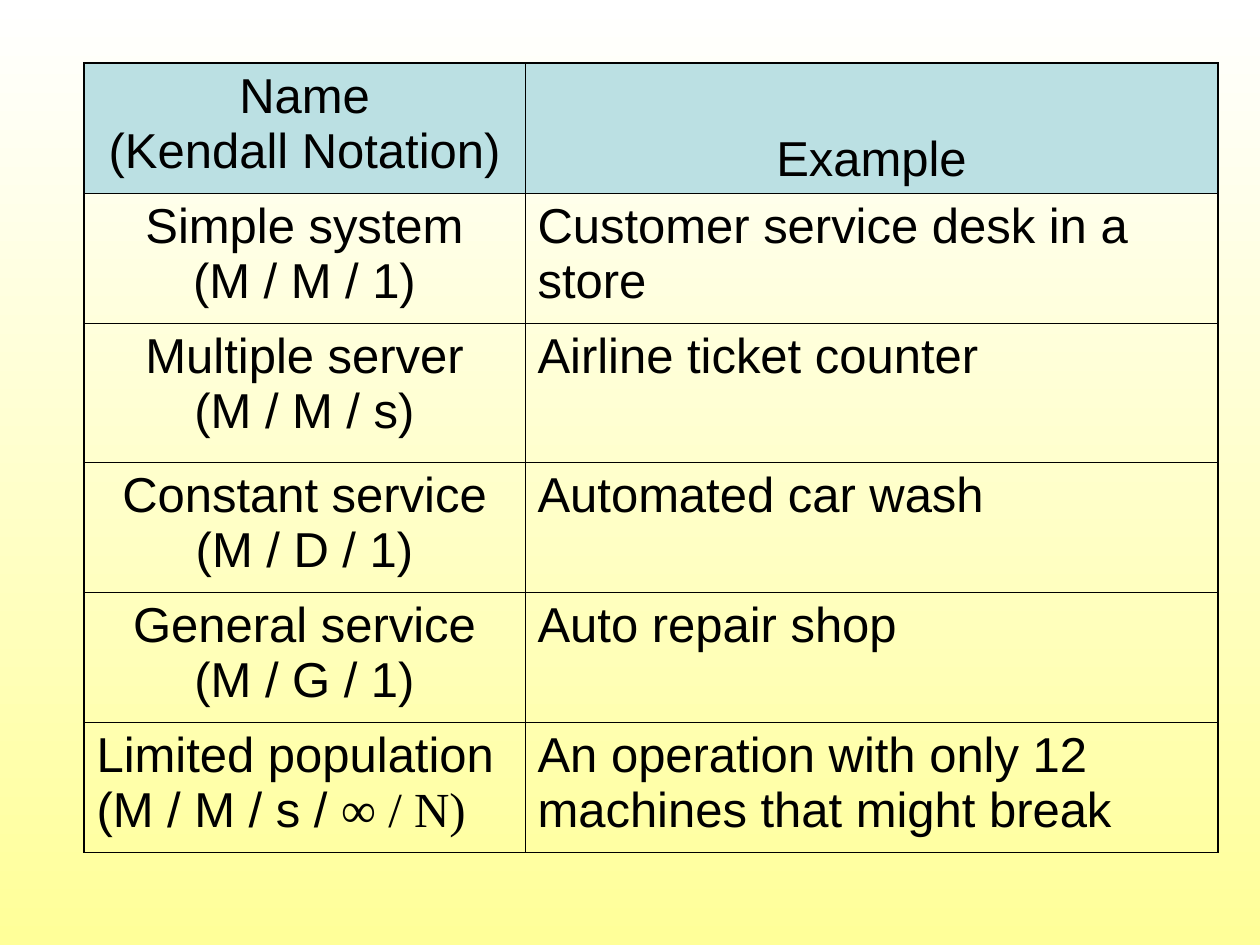
import pptx
import pptx.dml.color
import pptx.enum.text
import pptx.util
from lxml import etree
from pptx.oxml.ns import qn

Pt = pptx.util.Pt
RGBColor = pptx.dml.color.RGBColor
ALIGN = pptx.enum.text.PP_ALIGN
ANCHOR = pptx.enum.text.MSO_ANCHOR

BLACK = RGBColor(0x00, 0x00, 0x00)
WHITE = RGBColor(0xFF, 0xFF, 0xFF)
YELLOW = RGBColor(0xFF, 0xFF, 0x99)
HEADER_BLUE = RGBColor(0xBB, 0xE0, 0xE3)

BODY_FONT = "Arial"
SYMBOL_FONT = "Times New Roman"
OUTER_WIDTH = 1.08
INNER_WIDTH = 0.45

COLUMN_WIDTHS = [252, 396]
ROW_HEIGHTS = [74.3, 74.3, 79.4, 74.4, 74.3, 74.4]

# Each cell is a list of paragraphs; a paragraph is a list of (text, font).
MODELS = [
    (["Name", "(Kendall Notation)"], "Example"),
    (["Simple system", "(M / M / 1)"], "Customer service desk in a store"),
    (["Multiple server", "(M / M / s)"], "Airline ticket counter"),
    (["Constant service", "(M / D / 1)"], "Automated car wash"),
    (["General service", "(M / G / 1)"], "Auto repair shop"),
    (
        ["Limited population", [("(M / M / s / ", BODY_FONT), ("∞ / N)", SYMBOL_FONT)]],
        "An operation with only 12 machines that might break",
    ),
]


class SlideBuilder:
    font_format = {"size": Pt(28), "bold": False}
    cell_format = {
        "margin_left": Pt(7.2),
        "margin_right": Pt(7.2),
        "margin_top": Pt(3.6),
        "margin_bottom": Pt(3.6),
    }

    def __init__(self, slide):
        self.slide = slide

    def background(self, top_color, bottom_color):
        fill = self.slide.background.fill
        fill.gradient()
        fill.gradient_angle = 270
        for stop, color, position in zip(fill.gradient_stops, (top_color, bottom_color), (0, 1)):
            stop.color.rgb = color
            stop.position = position

    def table(self, left, top, column_widths, row_heights):
        frame = self.slide.shapes.add_table(
            len(row_heights), len(column_widths),
            Pt(left), Pt(top), Pt(sum(column_widths)), Pt(sum(row_heights)),
        )
        grid = frame.table
        grid.first_row = grid.horz_banding = False
        for column, width in zip(grid.columns, column_widths):
            column.width = Pt(width)
        for row, height in zip(grid.rows, row_heights):
            row.height = Pt(height)
        return grid

    def cell(self, cell, paragraphs, align, anchor=ANCHOR.TOP, fill=None):
        for name, value in {**self.cell_format, "vertical_anchor": anchor}.items():
            setattr(cell, name, value)
        if fill is None:
            cell.fill.background()
        else:
            cell.fill.solid()
            cell.fill.fore_color.rgb = fill
        frame = cell.text_frame
        for index, content in enumerate(paragraphs):
            paragraph = frame.add_paragraph() if index else frame.paragraphs[0]
            paragraph.alignment = align
            pieces = [(content, BODY_FONT)] if isinstance(content, str) else content
            for text, font_name in pieces:
                run = paragraph.add_run()
                run.text = text
                for name, value in {**self.font_format, "name": font_name}.items():
                    setattr(run.font, name, value)
                run.font.color.rgb = BLACK

    def borders(self, cell, widths):
        """Draw the left, right, top and bottom borders, widths in points."""
        properties = cell._tc.get_or_add_tcPr()
        for index, (side, width) in enumerate(zip("LRTB", widths)):
            line = etree.Element(qn(f"a:ln{side}"), w=str(Pt(width)))
            solid = etree.SubElement(line, qn("a:solidFill"))
            etree.SubElement(solid, qn("a:srgbClr"), val=str(BLACK))
            properties.insert(index, line)


def main():
    presentation = pptx.Presentation()
    presentation.slide_width = Pt(720)
    presentation.slide_height = Pt(540)
    builder = SlideBuilder(presentation.slides.add_slide(presentation.slide_layouts[6]))
    builder.background(WHITE, YELLOW)

    models_table = builder.table(48, 36, COLUMN_WIDTHS, ROW_HEIGHTS)
    last_row = len(MODELS) - 1
    for row, (notation, example) in enumerate(MODELS):
        is_header = row == 0
        fill = HEADER_BLUE if is_header else None
        notation_cell = models_table.cell(row, 0)
        example_cell = models_table.cell(row, 1)
        builder.cell(notation_cell, notation,
                     ALIGN.LEFT if row == last_row else ALIGN.CENTER, fill=fill)
        builder.cell(example_cell, [example],
                     ALIGN.CENTER if is_header else ALIGN.LEFT,
                     ANCHOR.BOTTOM if is_header else ANCHOR.TOP, fill)

        top = OUTER_WIDTH if is_header else INNER_WIDTH
        bottom = OUTER_WIDTH if row == last_row else INNER_WIDTH
        builder.borders(notation_cell, (OUTER_WIDTH, INNER_WIDTH, top, bottom))
        builder.borders(example_cell, (INNER_WIDTH, OUTER_WIDTH, top, bottom))

    presentation.save("out.pptx")


if __name__ == "__main__":
    main()
